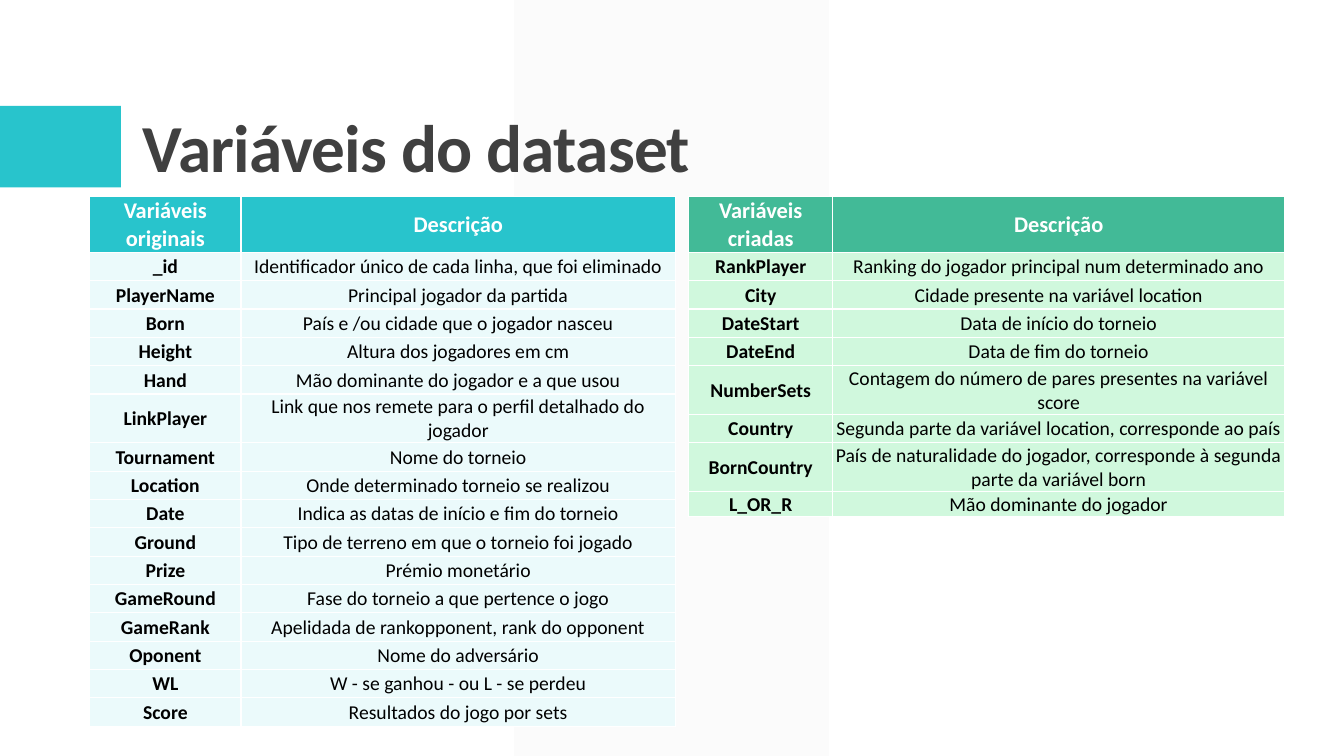
from lxml import etree
from pptx import Presentation
from pptx import util as u
from pptx.dml.color import RGBColor
from pptx.enum import shapes, text
from pptx.oxml import ns

TEAL = RGBColor(0x28, 0xC4, 0xCC)
ICE = RGBColor(0xEB, 0xFA, 0xFB)
GREEN = RGBColor(0x42, 0xBA, 0x97)
MINT = RGBColor(0xD0, 0xF8, 0xDD)
MIST = RGBColor(0xF2, 0xF2, 0xF2)
GRAY = RGBColor(0x40, 0x40, 0x40)
BLACK = RGBColor(0, 0, 0)
WHITE = RGBColor(0xFF, 0xFF, 0xFF)

FIRST = [
    ("Variáveis originais", "Descrição"),
    ("_id", "Identificador único de cada linha, que foi eliminado"),
    ("PlayerName", "Principal jogador da partida"),
    ("Born", "País e /ou cidade que o jogador nasceu"),
    ("Height", "Altura dos jogadores em cm"),
    ("Hand", "Mão dominante do jogador e a que usou"),
    ("LinkPlayer", "Link que nos remete para o perfil detalhado do jogador"),
    ("Tournament", "Nome do torneio"),
    ("Location", "Onde determinado torneio se realizou"),
    ("Date", "Indica as datas de início e fim do torneio"),
    ("Ground", "Tipo de terreno em que o torneio foi jogado"),
    ("Prize", "Prémio monetário"),
    ("GameRound", "Fase do torneio a que pertence o jogo"),
    ("GameRank", "Apelidada de rankopponent, rank do opponent"),
    ("Oponent", "Nome do adversário"),
    ("WL", "W - se ganhou - ou L - se perdeu"),
    ("Score", "Resultados do jogo por sets"),
]
ADDED = [
    ("Variáveis criadas", "Descrição"),
    ("RankPlayer", "Ranking do jogador principal num determinado ano"),
    ("City", "Cidade presente na variável location"),
    ("DateStart", "Data de início do torneio"),
    ("DateEnd", "Data de fim do torneio"),
    ("NumberSets", "Contagem do número de pares presentes na variável score"),
    ("Country", "Segunda parte da variável location, corresponde ao país"),
    ("BornCountry", "País de naturalidade do jogador, corresponde à segunda parte da variável born"),
    ("L_OR_R", "Mão dominante do jogador"),
]


def write(frame, words, size=14, color=BLACK, bold=False, font="Calibri",
          align=text.PP_ALIGN.CENTER, lead=None, track=None):
    par = frame.paragraphs[0]
    par.alignment = align
    if lead:
        par.line_spacing = lead
    run = par.add_run()
    run.text = words
    run.font.name = font
    run.font.size = u.Pt(size)
    run.font.bold = bold
    run.font.color.rgb = color
    if track:
        run.font._element.set("spc", str(track))


def frame_cell(cell):
    props = cell._tc.get_or_add_tcPr()
    for side in "LRTB":
        line = etree.SubElement(props, ns.qn(f"a:ln{side}"), w=str(u.Pt(1)))
        fill = etree.SubElement(line, ns.qn("a:solidFill"))
        etree.SubElement(fill, ns.qn("a:srgbClr"), val=str(WHITE))


class Deck:
    """Draws on one slide with lengths in percent of its width and height."""

    def __init__(self, wide, high):
        self.show = Presentation()
        self.show.slide_width = u.Inches(wide)
        self.show.slide_height = u.Inches(high)
        self.slide = self.show.slides.add_slide(self.show.slide_layouts[6])

    def across(self, share):
        return round(self.show.slide_width * share / 100)

    def down(self, share):
        return round(self.show.slide_height * share / 100)

    def area(self, x, y, w, h):
        return self.across(x), self.down(y), self.across(w), self.down(h)

    def block(self, kind, box, color, alpha=None):
        shape = self.slide.shapes.add_shape(kind, *self.area(*box))
        shape.shadow.inherit = False
        shape.line.fill.background()
        shape.fill.solid()
        shape.fill.fore_color.rgb = color
        if alpha:
            tint = shape._element.spPr.find(".//" + ns.qn("a:srgbClr"))
            etree.SubElement(tint, ns.qn("a:alpha"), val=str(alpha * 1000))
        return shape

    def title(self, box, words):
        frame = self.slide.shapes.add_textbox(*self.area(*box)).text_frame
        frame.word_wrap = True
        frame.vertical_anchor = text.MSO_ANCHOR.BOTTOM
        write(frame, words, size=48, color=GRAY, bold=True,
              align=text.PP_ALIGN.LEFT, lead=0.9, track=-50)

    def table(self, x, y, cols, rows, data, head, body):
        box = self.area(x, y, sum(cols), sum(rows))
        grid = self.slide.shapes.add_table(len(data), len(cols), *box).table
        grid.horz_banding = False
        for col, share in zip(grid.columns, cols):
            col.width = self.across(share)
        for r, (row, share) in enumerate(zip(grid.rows, rows)):
            row.height = self.down(share)
            for c, cell in enumerate(row.cells):
                frame_cell(cell)
                cell.fill.solid()
                cell.fill.fore_color.rgb = body if r else head
                cell.vertical_anchor = text.MSO_ANCHOR.MIDDLE
                cell.margin_left = cell.margin_right = cell.margin_top = u.Inches(0.01)
                cell.margin_bottom = 0
                write(cell.text_frame, data[r][c], size=14 if r else 16,
                      color=BLACK if r else WHITE, bold=not (r and c))


def main():
    deck = Deck(13.33, 7.5)
    kind = shapes.MSO_SHAPE
    band = deck.block(kind.PARALLELOGRAM, (38.26, 0, 23.41, 100), MIST, alpha=30)
    band.adjustments[0] = 0
    deck.block(kind.RECTANGLE, (0, 14, 9, 10.8), TEAL)
    deck.table(6.68, 26, (11.25, 32.33), [7.2] + [3.75] * 16, FIRST, TEAL, ICE)
    deck.table(51.24, 26, (10.73, 33.61), [7.2] + [3.75] * 7 + [3.2], ADDED, GREEN, MINT)
    deck.title((9.9, 4.13, 82.52, 21.2), "Variáveis do dataset")
    deck.show.save("out.pptx")


if __name__ == "__main__":
    main()
